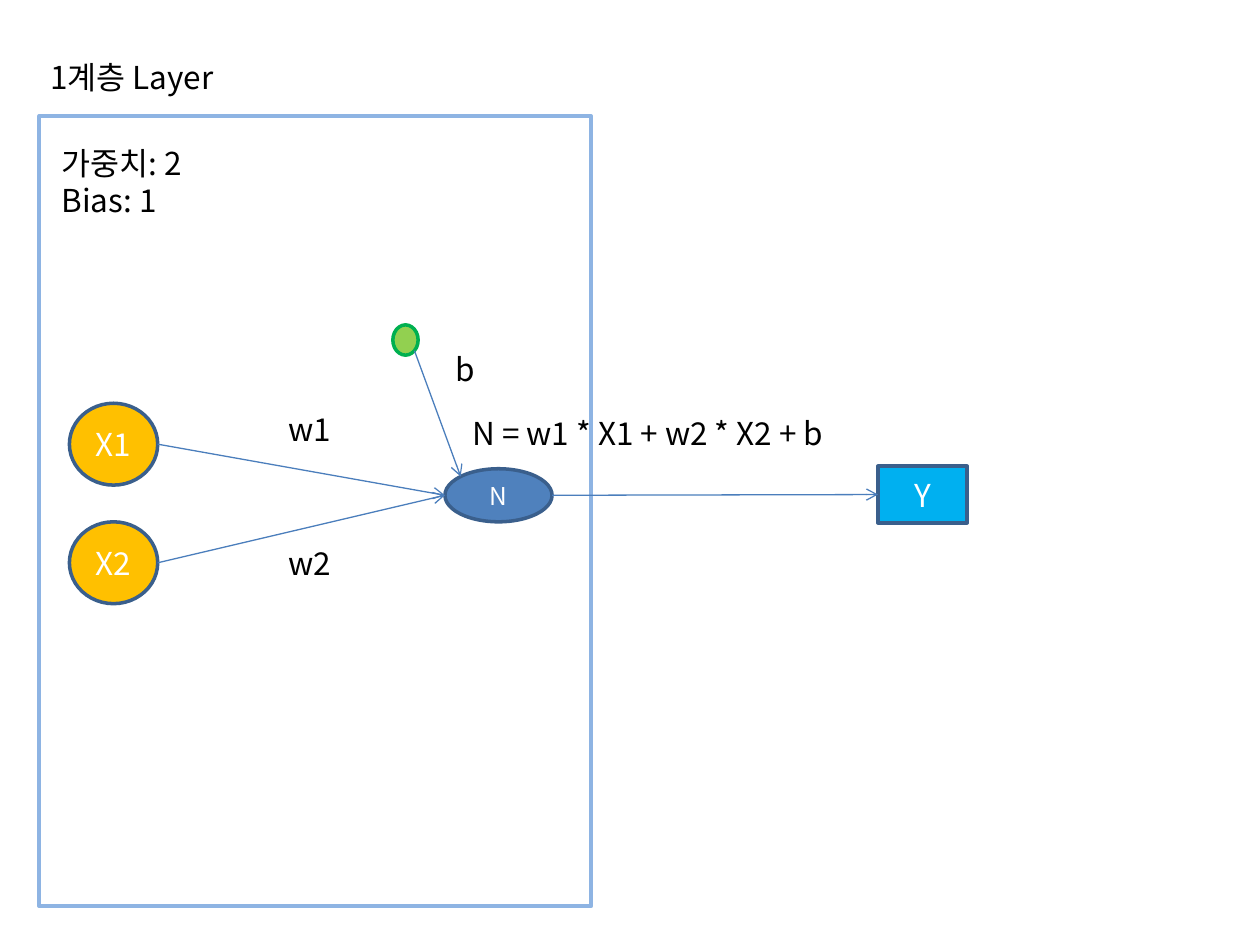
from math import sqrt

from lxml import etree
from pptx import Presentation
from pptx.dml.color import RGBColor
from pptx.enum.shapes import MSO_CONNECTOR, MSO_SHAPE
from pptx.enum.text import MSO_ANCHOR, PP_ALIGN
from pptx.oxml.ns import qn
from pptx.util import Cm, Pt

OVAL, RECT = MSO_SHAPE.OVAL, MSO_SHAPE.RECTANGLE
STRAIGHT = MSO_CONNECTOR.STRAIGHT
CENTER, MIDDLE = PP_ALIGN.CENTER, MSO_ANCHOR.MIDDLE
FONT = "Noto Sans CJK KR"
EDGE = "3A5F8C"
DIAG = sqrt(0.5)


def rgb(value):
    """Turn a hex string into a colour."""
    return RGBColor.from_string(value)


def add_run(p, text, size, color):
    """Add one formatted run to a paragraph."""
    r = p.add_run()
    r.text = text
    r.font.size = Pt(size)
    r.font.name = FONT
    r.font.color.rgb = rgb(color)
    etree.SubElement(r.font._element, qn("a:ea")).set("typeface", FONT)


def add_node(slide, kind, x, y, w, h, fill, line=EDGE, text="", size=18):
    """Draw an outlined shape with an optional centred label."""
    s = slide.shapes.add_shape(kind, Cm(x), Cm(y), Cm(w), Cm(h))
    s.shadow.inherit = False
    s.fill.solid()
    s.fill.fore_color.rgb = rgb(fill)
    s.line.color.rgb = rgb(line)
    s.line.width = Pt(2)
    if text:
        tf = s.text_frame
        tf.vertical_anchor = MIDDLE
        tf.paragraphs[0].alignment = CENTER
        add_run(tf.paragraphs[0], text, size, "FFFFFF")
    return s


def add_label(slide, x, y, w, *lines):
    """Write black text, one paragraph for each line."""
    sp = slide.shapes.add_textbox(Cm(x), Cm(y), Cm(w), Cm(1.02))
    tf = sp.text_frame
    tf.word_wrap = True
    for i, line in enumerate(lines):
        p = tf.add_paragraph() if i else tf.paragraphs[0]
        add_run(p, line, 18, "000000")


def rim(s, dx, dy):
    """Give the point at offset (dx, dy) in half sizes from a shape's centre."""
    return (int(s.left + s.width * (1 + dx) / 2),
            int(s.top + s.height * (1 + dy) / 2))


def add_arrow(slide, start, end):
    """Draw a thin arrow between two points."""
    c = slide.shapes.add_connector(STRAIGHT, *start, *end)
    c.line.color.rgb = rgb("4B7EBC")
    c.line.width = Pt(0.75)
    ln = c.line._get_or_add_ln()
    etree.SubElement(ln, qn("a:tailEnd")).set("type", "arrow")
    etree.SubElement(c._element.spPr, qn("a:effectLst"))


def add_layer(slide, x, y, w, h):
    """Draw the layer in its frame and return the neuron."""
    add_node(slide, RECT, x, y, w, h, "FFFFFF", "8EB4E3")
    add_label(slide, x - 0.03, y - 1.3, 3.89, "1계층 Layer")
    add_label(slide, x + 0.2, y + 0.43, 4.37, "가중치: 2", "Bias: 1")

    neuron = add_node(slide, OVAL, x + 8.18, y + 7.11, 2.16, 1.07,
                      "4F81BD", text="N", size=14)
    for i, label_y in enumerate((5.81, 8.51)):
        source = add_node(slide, OVAL, x + 0.61, y + 5.79 + 2.39 * i,
                          1.78, 1.65, "FFC000", text=f"X{i + 1}")
        add_arrow(slide, rim(source, 1, 0), rim(neuron, -1, 0))
        add_label(slide, x + 4.77, y + label_y, 2.08, f"w{i + 1}")

    bias = add_node(slide, OVAL, x + 7.13, y + 4.21, 0.51, 0.61,
                    "92D050", "00B050")
    add_arrow(slide, rim(bias, DIAG, DIAG), rim(neuron, -DIAG, -DIAG))
    add_label(slide, x + 8.15, y + 4.59, 2.08, "b")
    return neuron


def add_output(slide, neuron, x, y, w, h):
    """Draw the output box, its arrow and the neuron's formula."""
    output = add_node(slide, RECT, x, y, w, h, "00B0F0", text="Y")
    add_arrow(slide, rim(neuron, 1, 0), rim(output, -1, 0))
    add_label(slide, x - 8.43, y - 1.17, 12.4, "N = w1 * X1 + w2 * X2 + b")


def main():
    """Build the slide and save it."""
    prs = Presentation()
    prs.slide_width, prs.slide_height = Cm(25.4), Cm(19.05)
    slide = prs.slides.add_slide(prs.slide_layouts[6])
    neuron = add_layer(slide, 0.79, 2.34, 11.13, 15.93)
    add_output(slide, neuron, 17.7, 9.4, 1.8, 1.14)
    prs.save("out.pptx")


main()
